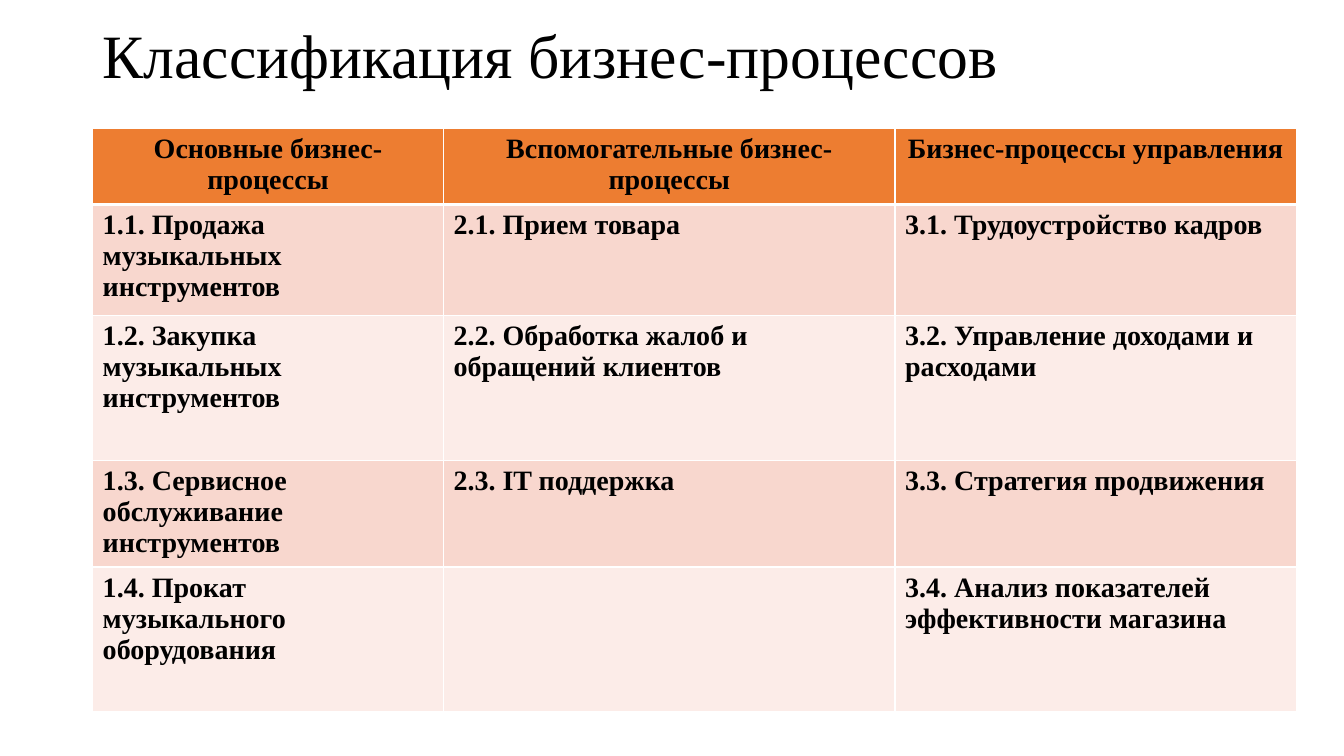
"""Build a slide with a table that classifies business processes."""
from lxml.etree import SubElement as Sub
from pptx import Presentation
from pptx.dml.color import RGBColor
from pptx.enum.text import MSO_ANCHOR as Anchor, MSO_AUTO_SIZE as Fit, PP_ALIGN as Align
from pptx.oxml.ns import qn
from pptx.util import Pt

TITLE = "Классификация бизнес-процессов"
HEADS = ["Основные бизнес-процессы", "Вспомогательные бизнес-процессы",
         "Бизнес-процессы управления"]
ROWS = [
    ["1.1. Продажа музыкальных инструментов", "2.1. Прием товара",
     "3.1. Трудоустройство кадров"],
    ["1.2. Закупка музыкальных инструментов",
     "2.2. Обработка жалоб и обращений клиентов",
     "3.2. Управление доходами и расходами"],
    ["1.3. Сервисное обслуживание инструментов", "2.3. IT поддержка",
     "3.3. Стратегия продвижения"],
    ["1.4. Прокат музыкального оборудования", "",
     "3.4. Анализ показателей эффективности магазина"],
]
WIDTHS = [250.6, 322.6, 286.6]
HEIGHTS = [54.4, 79.2, 103.6, 76.3, 103.6]
LEFT, TOP = 66.2, 91.6
FONT = "Times New Roman"
BLACK = RGBColor(0x00, 0x00, 0x00)
WHITE = RGBColor(0xFF, 0xFF, 0xFF)
ORANGE = RGBColor(0xED, 0x7D, 0x31)
PINK = RGBColor(0xF8, 0xD7, 0xCE)
PALE = RGBColor(0xFC, 0xEC, 0xE8)


def write(para, text, size, bold, align):
    """Add one styled run to a paragraph."""
    para.alignment = align
    run = para.add_run()
    run.text = text
    font = run.font
    font.name, font.size, font.bold = FONT, Pt(size), bold
    font.color.rgb = BLACK


def edge(cell, side, width):
    """Draw one white border of a cell."""
    line = Sub(cell._tc.get_or_add_tcPr(), qn("a:" + side), w=str(Pt(width)))
    Sub(Sub(line, qn("a:solidFill")), qn("a:srgbClr"), val=str(WHITE))


def add_title(slide):
    """Place and fill the title."""
    title = slide.shapes.title
    title.left, title.top = Pt(LEFT), Pt(1.5)
    title.width, title.height = Pt(828), Pt(80.6)
    frame = title.text_frame
    frame.auto_size, frame.vertical_anchor = Fit.NONE, Anchor.MIDDLE
    para = frame.paragraphs[0]
    para.line_spacing = 0.9
    write(para, TITLE, 44, False, Align.LEFT)


def add_grid(slide):
    """Add the table with banded rows."""
    data = [HEADS] + ROWS
    grid = slide.shapes.add_table(
        len(data), len(HEADS), Pt(LEFT), Pt(TOP),
        Pt(sum(WIDTHS)), Pt(sum(HEIGHTS))).table
    for col, width in zip(grid.columns, WIDTHS):
        col.width = Pt(width)
    for i, texts in enumerate(data):
        grid.rows[i].height = Pt(HEIGHTS[i])
        head = i == 0
        color = ORANGE if head else PINK if i % 2 else PALE
        for j, text in enumerate(texts):
            cell = grid.cell(i, j)
            for side in ("lnL", "lnR", "lnT", "lnB"):
                thick = head and side == "lnB" or i == 1 and side == "lnT"
                edge(cell, side, 3 if thick else 1)
            cell.fill.solid()
            cell.fill.fore_color.rgb = color
            if text:
                write(cell.text_frame.paragraphs[0], text, 20, True,
                      Align.CENTER if head else Align.LEFT)


def main():
    """Make and save the deck."""
    deck = Presentation()
    deck.slide_width, deck.slide_height = Pt(960), Pt(540)
    slide = deck.slides.add_slide(deck.slide_layouts[5])
    add_title(slide)
    add_grid(slide)
    deck.save("out.pptx")


if __name__ == "__main__":
    main()
